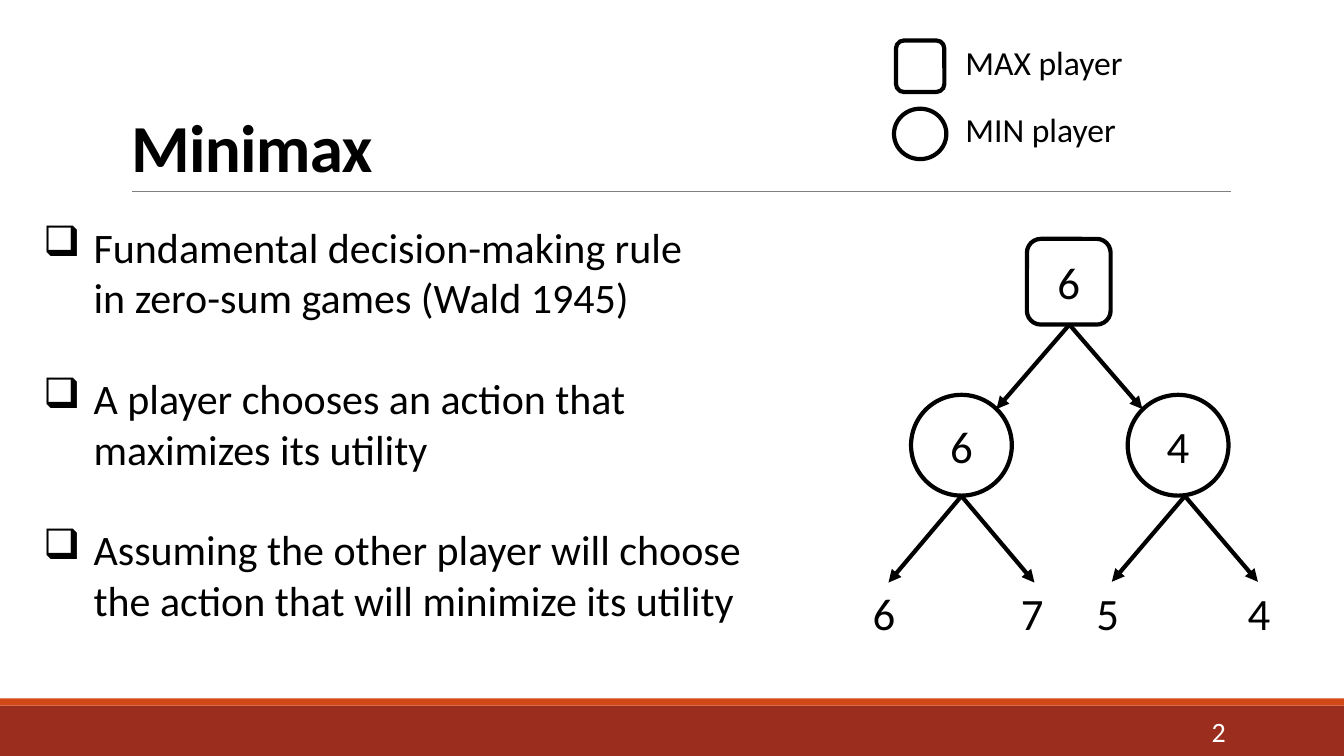
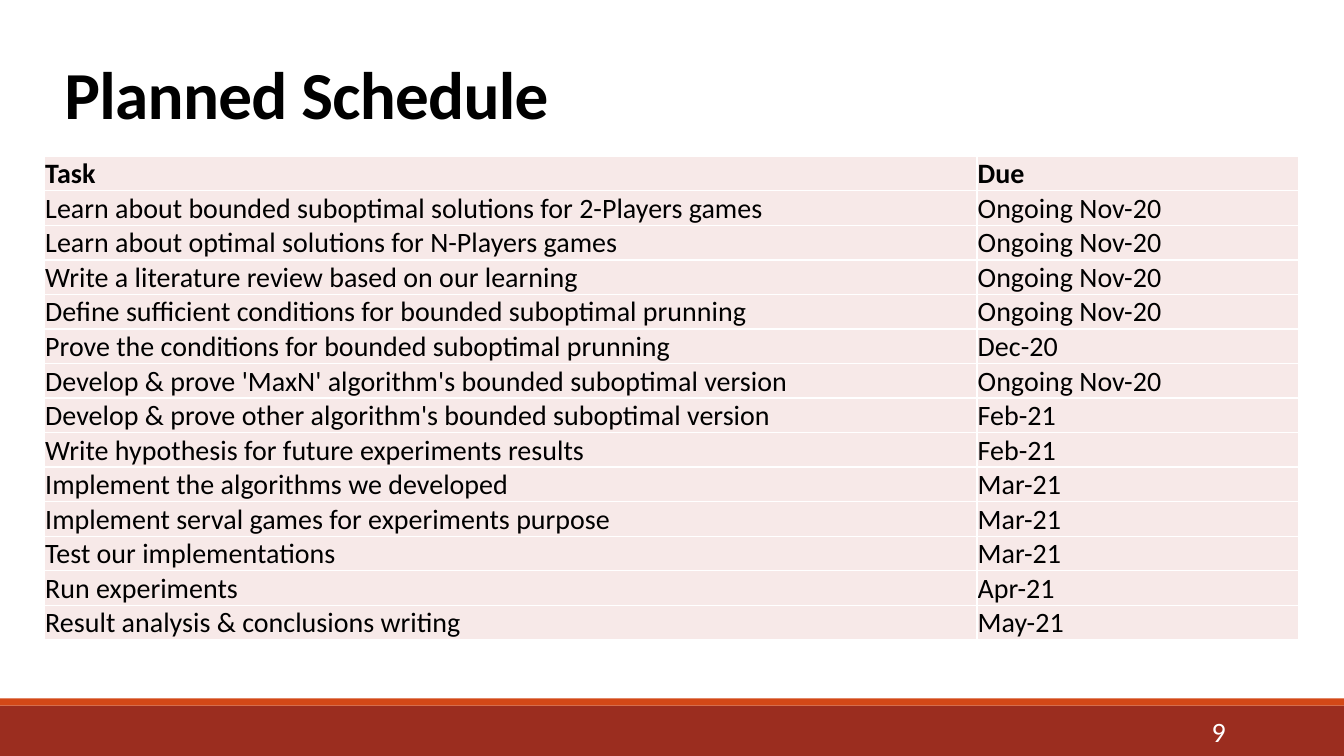
from dataclasses import dataclass

from lxml.etree import SubElement
from pptx import Presentation
from pptx.dml.color import RGBColor
from pptx.enum.shapes import MSO_CONNECTOR, MSO_SHAPE
from pptx.enum.text import MSO_ANCHOR, MSO_AUTO_SIZE, PP_ALIGN
from pptx.oxml import parse_xml
from pptx.oxml.ns import nsdecls, qn
from pptx.util import Cm, Pt


@dataclass(frozen=True)
class Theme:
    font = "Calibri"
    black = RGBColor(0x00, 0x00, 0x00)
    white = RGBColor(0xFF, 0xFF, 0xFF)
    band = RGBColor(0x9B, 0x2D, 0x1F)
    stripe = RGBColor(0xD3, 0x48, 0x17)
    rule = RGBColor(0x80, 0x80, 0x80)
    cell = RGBColor(0xF7, 0xE9, 0xE8)
    title_size = Pt(48)
    node_size = Pt(32)
    bullet_size = Pt(30)
    legend_size = Pt(24)
    small_size = Pt(20)
    outline = Pt(3)
    hairline = Pt(0.5)


theme = Theme()
deck = Presentation()
deck.slide_width, deck.slide_height = Cm(33.87), Cm(19.05)


def write(para, text, size, color=theme.black, align=PP_ALIGN.LEFT, bold=False):
    para.alignment = align
    span = None
    for number, line in enumerate(text.split("\n")):
        if number:
            para.add_line_break()
        span = para.add_run()
        span.text = line
        span.font.name = theme.font
        span.font.size = size
        span.font.bold = bold
        span.font.color.rgb = color
    return span


def start_slide(title, left, top, number):
    page = deck.slides.add_slide(deck.slide_layouts[5])

    # Footer bands
    for band_top, height, color in ((17.78, 1.27, theme.band), (17.6, 0.18, theme.stripe)):
        band = page.shapes.add_shape(
            MSO_SHAPE.RECTANGLE, 0, Cm(band_top), deck.slide_width, Cm(height))
        band.shadow.inherit = False
        band.fill.solid()
        band.fill.fore_color.rgb = color
        band.line.fill.background()

    # Title
    heading = page.shapes.title
    heading.left, heading.top, heading.width, heading.height = (
        Cm(left), Cm(top), Cm(27.94), Cm(4.04))
    frame = heading.text_frame
    frame.auto_size = MSO_AUTO_SIZE.NONE
    frame.vertical_anchor = MSO_ANCHOR.BOTTOM
    para = frame.paragraphs[0]
    para.line_spacing = 0.85
    span = write(para, title, theme.title_size, bold=True)
    span.font._element.set("spc", "-50")

    # Page number
    box = page.shapes.add_textbox(Cm(27.51), Cm(17.93), Cm(3.63), Cm(1.02))
    box.text_frame.word_wrap = True
    box.text_frame.vertical_anchor = MSO_ANCHOR.MIDDLE
    write(box.text_frame.paragraphs[0], number, theme.small_size, theme.white, PP_ALIGN.RIGHT)
    return page


# Slide: Minimax
page = start_slide("Minimax", 3.05, 0.79, "2")

# Bullets
bullets = (
    "Fundamental decision-making rule\nin zero-sum games (Wald 1945)",
    "A player chooses an action that\nmaximizes its utility",
    "Assuming the other player will choose\nthe action that will minimize its utility",
)
box = page.shapes.add_textbox(Cm(-0.43), Cm(5.46), Cm(21.62), Cm(10.52))
frame = box.text_frame
frame.word_wrap = True
for index, text in enumerate(bullets):
    para = frame.add_paragraph() if index else frame.paragraphs[0]
    para.space_before = Pt(36) if index else Pt(0)
    properties = para._p.get_or_add_pPr()
    properties.set("marL", str(Cm(2.54)))
    properties.set("indent", str(Cm(-1.27)))
    SubElement(properties, qn("a:buChar")).set("char", "\u2751")
    write(para, text, theme.bullet_size)

# Title rule and tree arrows: start, end, colour, width, arrowhead
lines = [(3.33, 4.83, 31.01, 4.83, theme.rule, theme.hairline, False)]
for apex, top, drop in ((26.95, 8.18, 2.13), (24.23, 12.5, 2.18), (29.86, 12.5, 2.16)):
    for reach in (-1.84, 1.84):
        lines.append((apex, top, apex + reach, top + drop, theme.black, theme.outline, True))
for left, top, right, bottom, color, width, arrow in lines:
    connector = page.shapes.add_connector(
        MSO_CONNECTOR.STRAIGHT, Cm(left), Cm(top), Cm(right), Cm(bottom))
    connector.line.color.rgb = color
    connector.line.width = width
    if arrow:
        SubElement(connector.line._get_or_add_ln(), qn("a:tailEnd")).set("type", "triangle")
    SubElement(connector._element.spPr, qn("a:effectLst"))

# Tree nodes and legend symbols
max_player, min_player = MSO_SHAPE.ROUNDED_RECTANGLE, MSO_SHAPE.OVAL
nodes = (
    (max_player, 25.88, 6.02, 2.11, 2.16, "6"),
    (min_player, 22.96, 9.95, 2.54, 2.54, "6"),
    (min_player, 28.42, 9.95, 2.54, 2.54, "4"),
    (max_player, 22.58, 1.02, 1.22, 1.3, ""),
    (min_player, 22.53, 2.74, 1.32, 1.27, ""),
)
for kind, left, top, width, height, value in nodes:
    node = page.shapes.add_shape(kind, Cm(left), Cm(top), Cm(width), Cm(height))
    node.shadow.inherit = False
    node.fill.solid()
    node.fill.fore_color.rgb = theme.white
    node.line.color.rgb = theme.black
    node.line.width = theme.outline
    if value:
        node.text_frame.vertical_anchor = MSO_ANCHOR.MIDDLE
        write(node.text_frame.paragraphs[0], value, theme.node_size, align=PP_ALIGN.CENTER)

# Leaf values and legend labels
labels = [("MAX player", 24.08, 0.94, 4.52, 1.27, theme.legend_size),
          ("MIN player", 24.08, 2.62, 4.52, 1.27, theme.legend_size)]
for value, left in (("6", 21.74), ("7", 25.48), ("5", 27.38), ("4", 31.19)):
    labels.append((value, left, 14.63, 1.24, 1.63, theme.node_size))
for text, left, top, width, height, size in labels:
    box = page.shapes.add_textbox(Cm(left), Cm(top), Cm(width), Cm(height))
    box.text_frame.word_wrap = True
    write(box.text_frame.paragraphs[0], text, size)

# Slide: Planned Schedule
page = start_slide("Planned Schedule", 1.37, -0.56, "9")
schedule = (
    ("Task", "Due"),
    ("Learn about bounded suboptimal solutions for 2-Players games", "Ongoing Nov-20"),
    ("Learn about optimal solutions for N-Players games", "Ongoing Nov-20"),
    ("Write a literature review based on our learning", "Ongoing Nov-20"),
    ("Define sufficient conditions for bounded suboptimal prunning", "Ongoing Nov-20"),
    ("Prove the conditions for bounded suboptimal prunning", "Dec-20"),
    ("Develop & prove 'MaxN' algorithm's bounded suboptimal version", "Ongoing Nov-20"),
    ("Develop & prove other algorithm's bounded suboptimal version", "Feb-21"),
    ("Write hypothesis for future experiments results", "Feb-21"),
    ("Implement the algorithms we developed", "Mar-21"),
    ("Implement serval games for experiments purpose", "Mar-21"),
    ("Test our implementations", "Mar-21"),
    ("Run experiments", "Apr-21"),
    ("Result analysis & conclusions writing", "May-21"),
)
column_widths = (23.5, 8.1)
table = page.shapes.add_table(
    len(schedule), len(column_widths), Cm(1.12), Cm(3.94),
    Cm(sum(column_widths)), Cm(0.87 * len(schedule))).table
table.first_row = table.horz_banding = False
for column, width in zip(table.columns, column_widths):
    column.width = Cm(width)
for row, entries in enumerate(schedule):
    for column, text in enumerate(entries):
        cell = table.cell(row, column)
        cell.vertical_anchor = MSO_ANCHOR.MIDDLE
        cell.margin_left = cell.margin_right = cell.margin_top = Cm(0.02)
        cell.margin_bottom = 0
        for side in ("lnL", "lnR", "lnT", "lnB"):
            cell._tc.get_or_add_tcPr().append(parse_xml(
                f'<a:{side} {nsdecls("a")} w="{Pt(1)}"><a:solidFill>'
                f'<a:srgbClr val="{theme.white}"/></a:solidFill></a:{side}>'))
        cell.fill.solid()
        cell.fill.fore_color.rgb = theme.cell
        write(cell.text_frame.paragraphs[0], text, theme.small_size, bold=row == 0)

deck.save("out.pptx")
